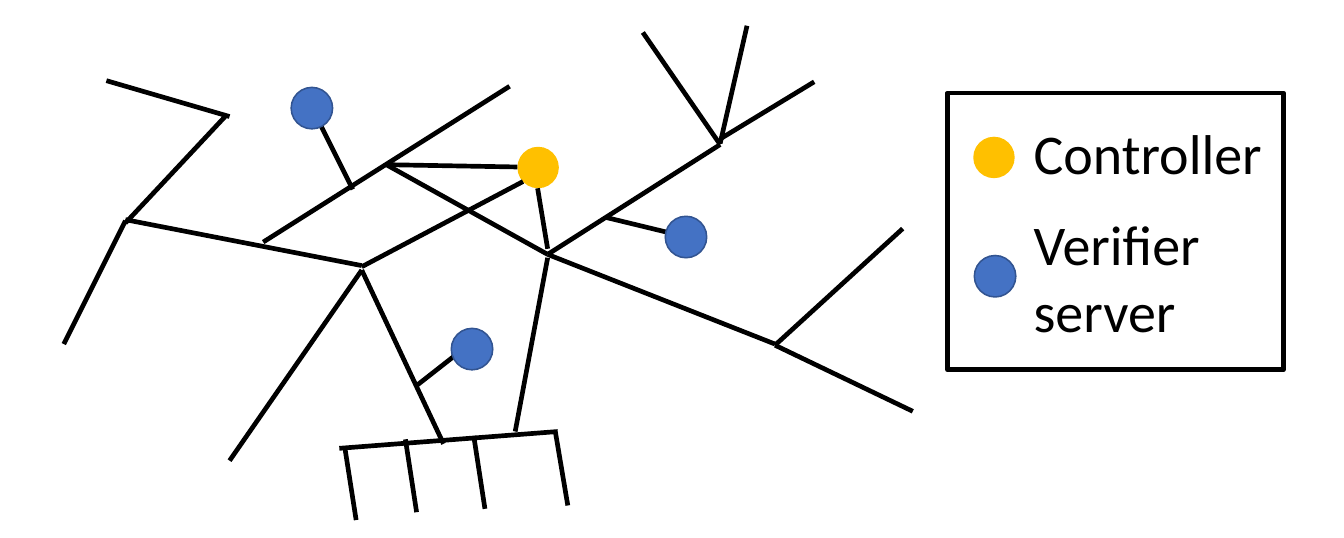
from dataclasses import dataclass

from lxml.etree import SubElement
from pptx import Presentation
from pptx.dml.color import RGBColor
from pptx.enum.shapes import MSO_CONNECTOR, MSO_SHAPE
from pptx.enum.text import MSO_AUTO_SIZE, PP_ALIGN
from pptx.oxml.ns import qn
from pptx.util import Inches, Pt


@dataclass(frozen=True)
class Theme:
    ink: str = "000000"
    verifier: str = "4472C4"
    verifier_edge: str = "325491"
    controller: str = "FFC000"
    font: str = "Calibri"
    label_size: int = 36
    link_width: int = 3
    edge_width: int = 1
    node_size: float = 0.37


def write(frame, text, *, size, font, color, align=PP_ALIGN.LEFT):
    paragraph = frame.paragraphs[0]
    paragraph.text = text
    paragraph.alignment = align
    for run in paragraph.runs:
        run.font.size = Pt(size)
        run.font.name = font
        run.font.color.rgb = RGBColor.from_string(color)


class Diagram:
    def __init__(self, slide, theme):
        self.theme = theme
        self.slide = slide
        self.target = slide.shapes

    def start_group(self):
        self.target = self.slide.shapes.add_group_shape().shapes

    def link(self, start, end):
        ends = [Inches(value) for value in (*start, *end)]
        link = self.target.add_connector(MSO_CONNECTOR.STRAIGHT, *ends)
        link.line.color.rgb = RGBColor.from_string(self.theme.ink)
        link.line.width = Pt(self.theme.link_width)
        SubElement(link._element.spPr, qn("a:effectLst"))

    def outline(self, preset, box, fill=None, edge=None, width=0):
        outline = self.target.add_shape(preset, *map(Inches, box))
        outline.shadow.inherit = False
        if fill:
            outline.fill.solid()
            outline.fill.fore_color.rgb = RGBColor.from_string(fill)
        else:
            outline.fill.background()
        if edge:
            outline.line.color.rgb = RGBColor.from_string(edge)
            outline.line.width = Pt(width)
        else:
            outline.line.fill.background()

    def node(self, left, top, fill, edge=None):
        size = self.theme.node_size
        self.outline(MSO_SHAPE.OVAL, (left, top, size, size),
                     fill, edge, self.theme.edge_width)

    def verifier(self, left, top):
        self.node(left, top, self.theme.verifier, self.theme.verifier_edge)

    def controller(self, left, top):
        self.node(left, top, self.theme.controller)

    def frame(self, *box):
        self.outline(MSO_SHAPE.RECTANGLE, box,
                     edge=self.theme.ink, width=self.theme.link_width)

    def label(self, text, *box):
        label = self.target.add_textbox(*map(Inches, box)).text_frame
        label.word_wrap = True
        label.auto_size = MSO_AUTO_SIZE.SHAPE_TO_FIT_TEXT
        write(label, text, size=self.theme.label_size,
              font=self.theme.font, color=self.theme.ink)


WEST_HUB = (3.23, 2.41)
CENTRAL_HUB = (4.89, 2.27)
NORTH_HUB = (6.43, 1.29)
EAST_HUB = (6.92, 3.08)

NETWORK_LINKS = [
    ((0.95, 0.72), (2.05, 1.04)),
    ((1.12, 1.99), (2.01, 1.04)),
    ((3.23, 2.37), (1.12, 1.96)),
    ((0.57, 3.07), (1.12, 1.97)),
    ((4.55, 0.77), (2.35, 2.16)),
    ((3.45, 1.47), CENTRAL_HUB),
    (WEST_HUB, (2.05, 4.11)),
    (WEST_HUB, (3.96, 3.96)),
    ((3.03, 4), (4.98, 3.85)),
    ((3.08, 4), (3.18, 4.64)),
    ((3.62, 3.92), (3.72, 4.57)),
    ((4.23, 3.89), (4.33, 4.54)),
    ((4.96, 3.86), (5.07, 4.51)),
    ((4.89, 2.3), (4.6, 3.85)),
    (CENTRAL_HUB, NORTH_HUB),
    (CENTRAL_HUB, (6.92, 3.07)),
    ((5.74, 0.29), NORTH_HUB),
    ((6.67, 0.23), (6.43, 1.28)),
    ((7.27, 0.73), (6.43, 1.24)),
    ((8.06, 2.04), EAST_HUB),
    ((8.15, 3.67), EAST_HUB),
]
VERIFIER_LINKS = [
    ((2.84, 1.07), (3.15, 1.69)),
    ((3.72, 3.44), (4.09, 3.15)),
    ((5.41, 1.94), (6.03, 2.09)),
]
VERIFIERS = [(2.6, 0.78), (4.03, 2.93), (5.94, 1.93)]
CONTROLLER_LINKS = [
    ((4.8, 1.68), (4.89, 2.22)),
    ((4.62, 1.49), (3.47, 1.47)),
    ((4.67, 1.62), (3.23, 2.38)),
]

presentation = Presentation()
presentation.slide_width = Inches(12)
presentation.slide_height = Inches(4.8)
blank_layout = presentation.slide_layouts[6]
diagram = Diagram(presentation.slides.add_slide(blank_layout), Theme())

for start, end in NETWORK_LINKS + VERIFIER_LINKS:
    diagram.link(start, end)
for left, top in VERIFIERS:
    diagram.verifier(left, top)
diagram.controller(4.62, 1.31)
for start, end in CONTROLLER_LINKS:
    diagram.link(start, end)

diagram.start_group()
diagram.controller(8.69, 1.22)
diagram.verifier(8.7, 2.28)
diagram.label("Controller", 9.13, 1.01, 2.41, 0.71)
diagram.label("Verifier\vserver", 9.13, 1.82, 2.41, 1.31)
diagram.frame(8.46, 0.83, 3, 2.47)

presentation.save("out.pptx")
